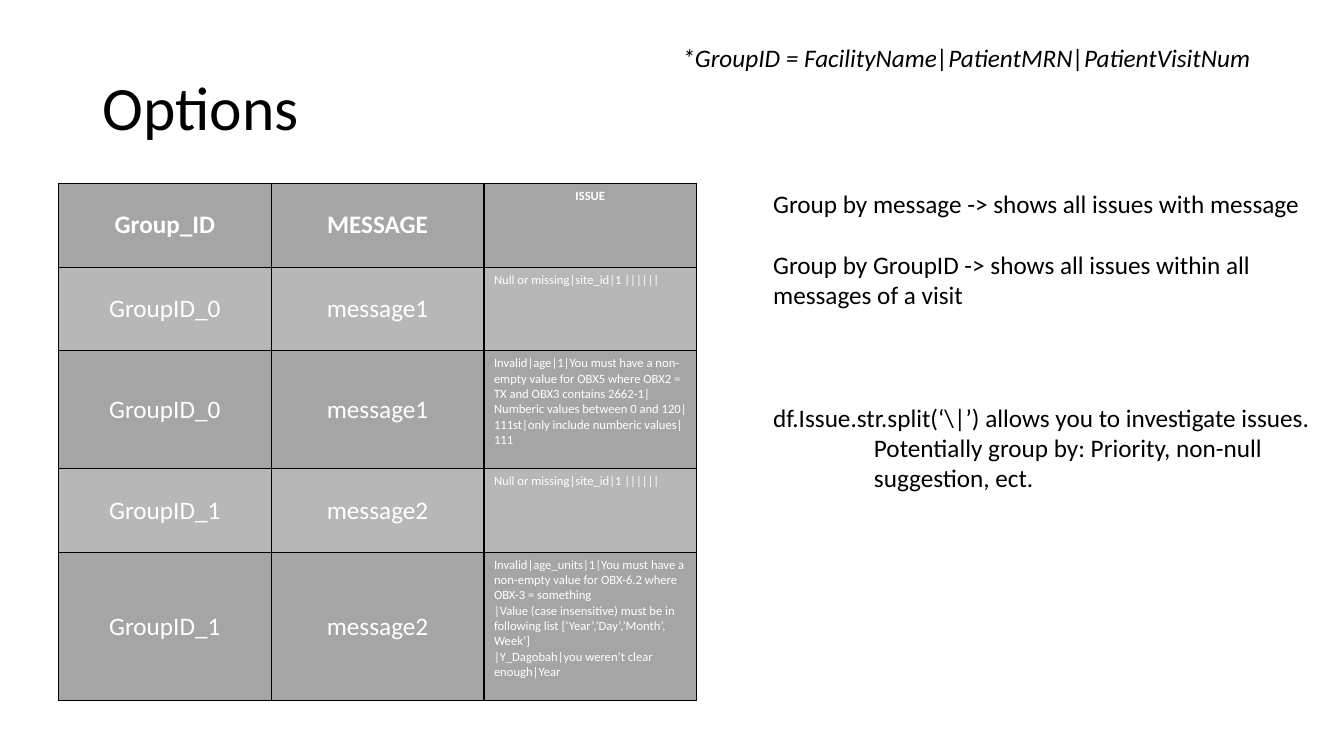
import pptx
import pptx.dml.color
import pptx.enum.text
import pptx.oxml
import pptx.oxml.ns
import pptx.util
from pptx.enum.text import MSO_ANCHOR, PP_ALIGN

RGBColor = pptx.dml.color.RGBColor
BLACK = RGBColor(0, 0, 0)
WHITE = RGBColor(255, 255, 255)
DARK_BAND = RGBColor(0xA5, 0xA5, 0xA5)
LIGHT_BAND = RGBColor(0xB7, 0xB7, 0xB7)

FONT = "Calibri"
BODY_SIZE = 18
ISSUE_SIZE = 9
LINE = BODY_SIZE * 1.22  # height of one body line, in points

WIDTH, HEIGHT = 13.33, 7.5
TABLE_LEFT, CONTENT_TOP = 0.58, 1.82
COLUMN_WIDTH = 2.11

TITLE = "Options"
DEFINITION = "*GroupID = FacilityName|PatientMRN|PatientVisitNum"
MISSING_SITE = ["Null or missing|site_id|1 ||||||"]
HEADER = ("Group_ID", "MESSAGE", ["ISSUE"])
# Each row: height in inches, then its cells (issues are lists of paragraphs)
ROWS = [
    (0.83, HEADER),
    (0.83, ("GroupID_0", "message1", MISSING_SITE)),
    (1.17, ("GroupID_0", "message1", [
        "Invalid|age|1|You must have a non-empty value for OBX5 where OBX2 = TX "
        "and OBX3 contains 2662-1|Numberic values between 0 and 120|111st|only "
        "include numberic values|111"])),
    (0.83, ("GroupID_1", "message2", MISSING_SITE)),
    (1.47, ("GroupID_1", "message2", [
        "Invalid|age_units|1|You must have a non-empty value for OBX-6.2 where "
        "OBX-3 = something",
        "|Value (case insensitive) must be in following list "
        "[‘Year’,’Day’,’Month’, Week’]",
        "|Y_Dagobah|you weren’t clear enough|Year"])),
]
# Each note: text, blank lines above, left indent in inches
NOTES = [
    ("Group by message -> shows all issues with message", 0, 0),
    ("Group by GroupID -> shows all issues within all messages of a visit", 1, 0),
    ("df.Issue.str.split(‘\\|’) allows you to investigate issues.", 3, 0),
    ("Potentially group by: Priority, non-null suggestion, ect.", 0, 1),
]


def apply(target, values):
    """Set every attribute named in values on the target."""
    for name, value in values.items():
        setattr(target, name, value)


def write(frame, texts, font, layout=None):
    """Fill a text frame with one formatted paragraph per text."""
    frame.word_wrap = True
    for index, text in enumerate(texts):
        paragraph = frame.add_paragraph() if index else frame.paragraphs[0]
        apply(paragraph, layout or {})
        run = paragraph.add_run()
        run.text = text
        values = {"name": FONT, "size": pptx.util.Pt(BODY_SIZE)}
        apply(run.font, {**values, **{k: v for k, v in font.items() if k != "color"}})
        run.font.color.rgb = font.get("color", BLACK)
    return frame.paragraphs


def add_text(slide, box, texts, font, layout=None, anchor=MSO_ANCHOR.TOP):
    """Add a text box at (left, top, width, height) and return its paragraphs."""
    shape = slide.shapes.add_textbox(*map(pptx.util.Inches, box))
    shape.text_frame.vertical_anchor = anchor
    return write(shape.text_frame, texts, font, layout)


def add_borders(cell):
    """Draw a thin black line on all four sides of a cell."""
    properties = cell._tc.get_or_add_tcPr()
    for index, side in enumerate(("lnL", "lnR", "lnT", "lnB")):
        properties.insert(index, pptx.oxml.parse_xml(
            f'<a:{side} {pptx.oxml.ns.nsdecls("a")} w="12700">'
            f'<a:solidFill><a:srgbClr val="{BLACK}"/></a:solidFill></a:{side}>'))


def add_issue_table(slide):
    """Add the banded table of groups, messages and issues."""
    heights = [height for height, _ in ROWS]
    box = (TABLE_LEFT, CONTENT_TOP, COLUMN_WIDTH * len(HEADER), sum(heights))
    table = slide.shapes.add_table(
        len(ROWS), len(HEADER), *map(pptx.util.Inches, box)).table
    for column in table.columns:
        column.width = pptx.util.Inches(COLUMN_WIDTH)
    for row, (height, contents) in enumerate(ROWS):
        table.rows[row].height = pptx.util.Inches(height)
        for column, content in enumerate(contents):
            cell = table.cell(row, column)
            is_issue = isinstance(content, list)
            cell.vertical_anchor = MSO_ANCHOR.TOP if is_issue else MSO_ANCHOR.MIDDLE
            cell.fill.solid()
            cell.fill.fore_color.rgb = LIGHT_BAND if row % 2 else DARK_BAND
            add_borders(cell)
            size = ISSUE_SIZE if is_issue else BODY_SIZE
            left = is_issue and row > 0
            write(cell.text_frame, content if is_issue else [content],
                  {"size": pptx.util.Pt(size), "bold": row == 0, "color": WHITE},
                  {"alignment": PP_ALIGN.LEFT if left else PP_ALIGN.CENTER})


def add_notes_column(slide):
    """Add the grouping ideas beside the table."""
    paragraphs = add_text(slide, (7.57, CONTENT_TOP, WIDTH - 7.57, 3.13),
                          [text for text, _, _ in NOTES], {})
    for paragraph, (_, blank_lines, indent) in zip(paragraphs, NOTES):
        paragraph.space_before = pptx.util.Pt(blank_lines * LINE)
        paragraph._p.get_or_add_pPr().set("marL", str(pptx.util.Inches(indent)))


presentation = pptx.Presentation()
apply(presentation, {"slide_width": pptx.util.Inches(WIDTH),
                     "slide_height": pptx.util.Inches(HEIGHT)})
slide = presentation.slides.add_slide(presentation.slide_layouts[6])
add_text(slide, (0.92, 0.37, 11.5, 1.45), [TITLE], {"size": pptx.util.Pt(44)},
         {"line_spacing": 0.9}, MSO_ANCHOR.MIDDLE)
add_issue_table(slide)
add_notes_column(slide)
add_text(slide, (6.67, 0.37, 6.26, 0.4), [DEFINITION], {"italic": True})
presentation.save("out.pptx")
